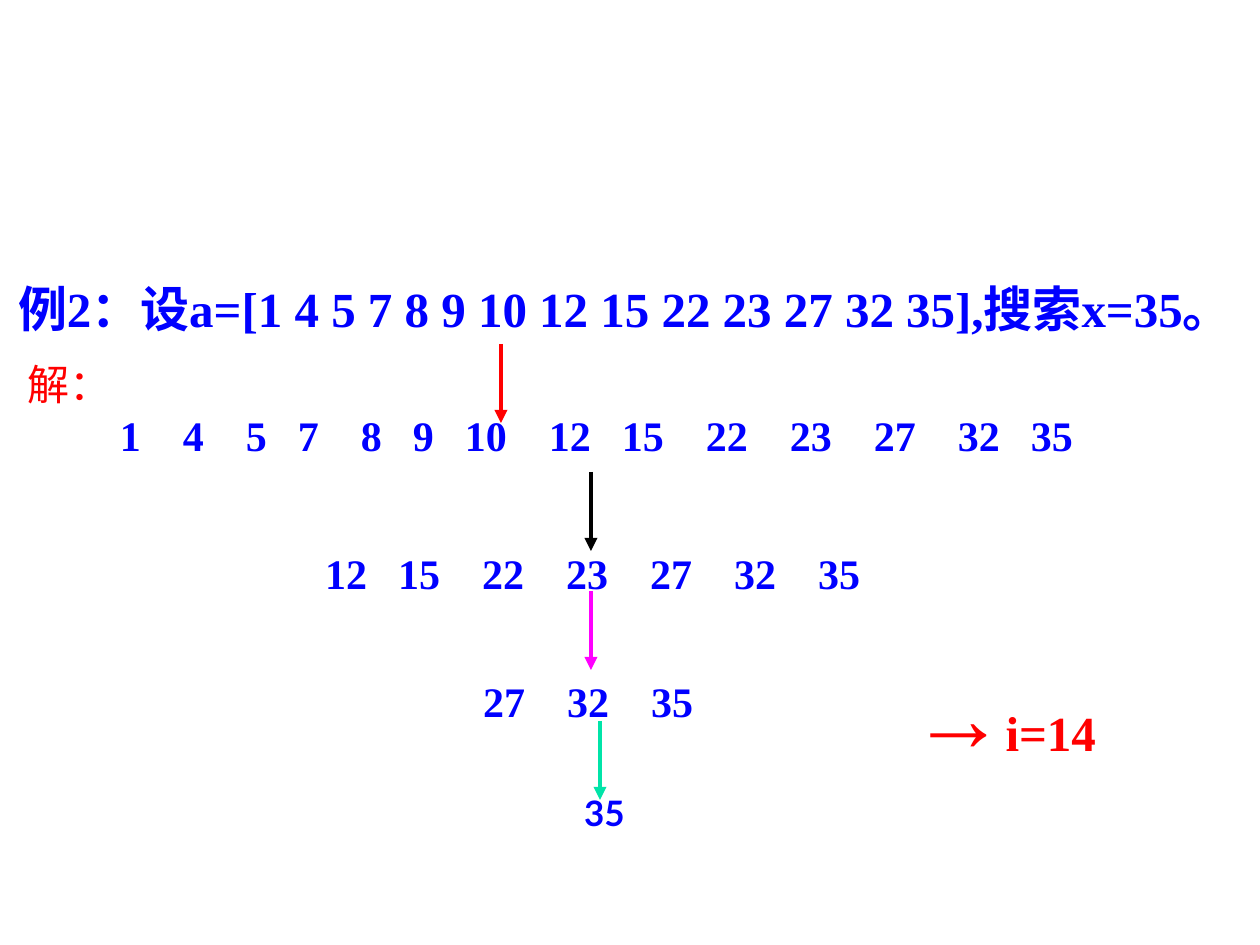
from pptx import Presentation
from pptx.dml.color import RGBColor
from pptx.enum.shapes import MSO_CONNECTOR
from pptx.enum.text import MSO_ANCHOR, MSO_AUTO_SIZE, PP_ALIGN
from pptx.oxml.ns import qn
from pptx.util import Emu, Pt

STRAIGHT = MSO_CONNECTOR.STRAIGHT
MIDDLE, TOP = MSO_ANCHOR.MIDDLE, MSO_ANCHOR.TOP
NO_AUTO_SIZE = MSO_AUTO_SIZE.NONE
LEFT = PP_ALIGN.LEFT

PX_PER_INCH = 126
INSET_X, INSET_Y = 13, 6
DIGIT_WIDTH = 21
NARROW, WIDE = 31, 42

SERIF, SANS, CHINESE = "Times New Roman", "Lato", "Noto Sans CJK SC"
BLUE, RED, BLACK, MAGENTA, GREEN = "0000FF", "FF0000", "000000", "FF00FF", "00E4A8"

VALUES = [1, 4, 5, 7, 8, 9, 10, 12, 15, 22, 23, 27, 32, 35]
FIRST_GAPS = [WIDE, WIDE, NARROW, WIDE, NARROW, NARROW, WIDE,
              NARROW, WIDE, WIDE, WIDE, WIDE, NARROW]
SECOND_GAPS = [NARROW, WIDE, WIDE, WIDE, WIDE, WIDE]
THIRD_GAPS = [WIDE, WIDE]


def px(length):
    return Emu(round(length * 914400 / PX_PER_INCH))


def color(value):
    return RGBColor.from_string(value)


def add_run(paragraph, text, size=24, font=SERIF, fill=BLUE, bold=True):
    run = paragraph.add_run()
    run.text = text
    run.font.size = Pt(size)
    run.font.name = font
    run.font.bold = bold
    run.font.color.rgb = color(fill)
    properties = run._r.get_or_add_rPr()
    east_asian = properties.makeelement(qn("a:ea"), {"typeface": font})
    properties.find(qn("a:latin")).addnext(east_asian)


def format_frame(shape, anchor=TOP):
    frame = shape.text_frame
    frame.word_wrap = True
    frame.auto_size = NO_AUTO_SIZE
    frame.vertical_anchor = anchor
    frame.margin_left, frame.margin_right = px(INSET_X), 0
    frame.margin_top = frame.margin_bottom = px(INSET_Y)
    frame.paragraphs[0].alignment = LEFT
    return frame


def add_text_box(slide, left, top, width, height):
    return format_frame(slide.shapes.add_textbox(px(left), px(top), px(width), px(height)))


def set_tabs(paragraph, positions):
    properties = paragraph._p.get_or_add_pPr()
    tabs = properties.makeelement(qn("a:tabLst"), {})
    for position in positions:
        tab = tabs.makeelement(qn("a:tab"), {"pos": str(px(position)), "algn": "l"})
        tabs.append(tab)
    properties.append(tabs)


def write_numbers(paragraph, numbers, gaps, start=0):
    """Put each number at a tab stop one gap after the number before it."""
    stops = [start]
    for number, gap in zip(numbers, gaps):
        stops.append(stops[-1] + len(str(number)) * DIGIT_WIDTH + gap)
    set_tabs(paragraph, stops if start else stops[1:])
    if start:
        add_run(paragraph, "\t", font=SANS)
    add_run(paragraph, "\t".join(map(str, numbers)))


def add_question(slide, left, top, width, height):
    title = slide.shapes.title
    title.left, title.top, title.width, title.height = map(px, (left, top, width, height))
    paragraph = format_frame(title, MIDDLE).paragraphs[0]
    array = " ".join(map(str, VALUES))
    for text, font in [("例", CHINESE), ("2", SERIF), ("：设", CHINESE),
                       (f"a=[{array}],", SERIF), ("搜索", CHINESE),
                       ("x=35", SERIF), ("。", CHINESE)]:
        add_run(paragraph, text, size=28, font=font)


def add_first_step(slide, left, top, width, height):
    frame = add_text_box(slide, left, top, width, height)
    add_run(frame.paragraphs[0], "解：", font=SANS, fill=RED, bold=False)
    write_numbers(frame.add_paragraph(), VALUES, FIRST_GAPS, start=92)


def add_later_step(slide, left, top, width, height, numbers, gaps):
    frame = add_text_box(slide, left, top, width, height)
    write_numbers(frame.paragraphs[0], numbers, gaps)


def add_last_step(slide, left, top, width, height):
    frame = add_text_box(slide, left, top, width, height)
    add_run(frame.paragraphs[0], str(VALUES[-1]), size=20, font=SANS)


def add_result(slide, left, top, width, height):
    paragraph = add_text_box(slide, left, top, width, height).paragraphs[0]
    add_run(paragraph, "→", size=54, fill=RED)
    add_run(paragraph, "i=14", size=28, fill=RED)


def add_down_arrow(slide, x, top, height, fill):
    arrow = slide.shapes.add_connector(STRAIGHT, px(x), px(top), px(x), px(top + height))
    arrow.line.color.rgb = color(fill)
    arrow.line.width = Pt(2.5)
    line = arrow.line._get_or_add_ln()
    line.append(line.makeelement(qn("a:tailEnd"), {"type": "triangle"}))
    properties = arrow._element.spPr
    properties.append(properties.makeelement(qn("a:effectLst"), {}))


def main():
    presentation = Presentation()
    presentation.slide_width, presentation.slide_height = px(1260), px(945)
    slide = presentation.slides.add_slide(presentation.slide_layouts[5])

    add_question(slide, 5, 272, 1242, 72)
    add_first_step(slide, 15, 353, 1121, 113)
    add_later_step(slide, 312, 542, 561, 63, VALUES[7:], SECOND_GAPS)
    add_later_step(slide, 470, 670, 236, 63, VALUES[11:], THIRD_GAPS)
    add_last_step(slide, 571, 785, 71, 54)
    add_result(slide, 898, 651, 210, 126)
    for x, top, fill in [(501, 344, RED), (591, 472, BLACK),
                         (591, 591, MAGENTA), (600, 721, GREEN)]:
        add_down_arrow(slide, x, top, 79, fill)

    presentation.save("out.pptx")


if __name__ == "__main__":
    main()
